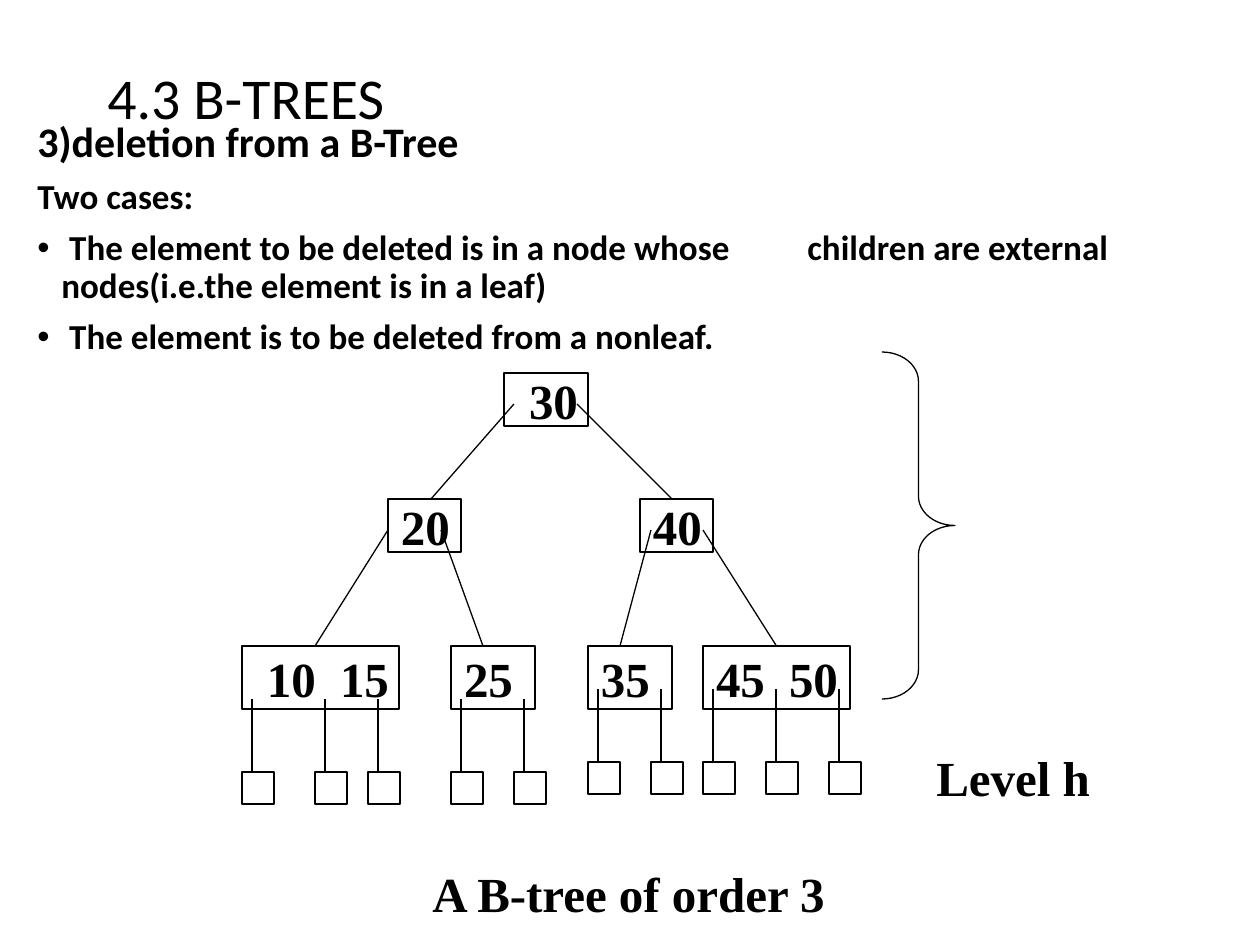
from pptx import Presentation
from pptx import util as u
from pptx.dml.color import RGBColor
from pptx.enum import shapes as sh, text as tx
from pptx.oxml.ns import qn
from lxml import etree

SCALE = u.Inches(1) / 126
COLORS = {"ink": "000000"}
SANS, SERIF = "Calibri", "Times New Roman"
NODES = {
    "30": (504, 373, 84, 53, 25),
    "20": (388, 499, 73, 53, 13),
    "40": (640, 499, 73, 53, 13),
    "10\t15": (242, 646, 157, 63, 25),
    "25": (451, 646, 84, 63, 13),
    "35": (588, 646, 84, 63, 13),
    "45\t50": (703, 646, 147, 63, 13),
}
EDGES = [
    (514, 404, 431, 499), (577, 404, 672, 499),
    (388, 530, 315, 646), (441, 530, 483, 646),
    (651, 530, 620, 646),
]
LEAVES = {772: (242, 315, 368, 451, 514), 762: (588, 651, 703, 766, 829)}


def px(n):
    """Turn px into EMU."""
    return u.Emu(round(n * SCALE))


def ink():
    """Return the drawing colour."""
    return RGBColor.from_string(COLORS["ink"])


def style(para, size, face, bold=True):
    """Set the font of a paragraph."""
    font = para.font
    font.size, font.name, font.bold = u.Pt(size), face, bold
    font.color.rgb = ink()


def tab(para, pos):
    """Add one left tab stop."""
    tabs = etree.SubElement(para._p.get_or_add_pPr(), qn("a:tabLst"))
    etree.SubElement(tabs, qn("a:tab"), pos=str(px(pos)), algn="l")


def label(slide, words, box, size, face, bold=True):
    """Add a text box with one line and return it."""
    item = slide.shapes.add_textbox(*map(px, box))
    frame = item.text_frame
    frame.word_wrap = True
    para = frame.paragraphs[0]
    para.text = words
    style(para, size, face, bold)
    return item


def point(frame, words, bullet=False):
    """Add a body paragraph, with a bullet if asked."""
    para = frame.add_paragraph()
    para.text = words
    props = para._p.get_or_add_pPr()
    if bullet:
        props.set("marL", str(px(24)))
        props.set("indent", str(px(-24)))
        etree.SubElement(props, qn("a:buFont"), typeface="Arial")
        etree.SubElement(props, qn("a:buChar"), char="•")
    if "\t" in words:
        tab(para, 770)
    para.line_spacing, para.space_before = 0.9, u.Pt(7.5)
    style(para, 20, SANS)


def outline(slide, kind, box):
    """Add an unfilled shape with a thin line."""
    item = slide.shapes.add_shape(kind, *map(px, box))
    item.shadow.inherit = False
    item.fill.background()
    item.line.color.rgb = ink()
    item.line.width = u.Pt(0.75)
    return item


def node(slide, keys, box, inset):
    """Add a tree node holding its keys."""
    item = outline(slide, sh.MSO_SHAPE.RECTANGLE, box)
    frame = item.text_frame
    frame.word_wrap = True
    frame.vertical_anchor = tx.MSO_ANCHOR.MIDDLE
    frame.margin_left, frame.margin_right = px(inset), 0
    para = frame.paragraphs[0]
    para.text = keys
    if "\t" in keys:
        tab(para, 73)
    para.alignment = tx.PP_ALIGN.LEFT
    style(para, 28, SERIF)
    return item


def line(slide, ends):
    """Add a thin straight line."""
    item = slide.shapes.add_connector(sh.MSO_CONNECTOR.STRAIGHT, *map(px, ends))
    item.line.color.rgb = ink()
    item.line.width = u.Pt(0.75)
    etree.SubElement(item._element.spPr, qn("a:effectLst"))
    return item


def leaf(slide, left, top):
    """Add an external node and the line down to it."""
    outline(slide, sh.MSO_SHAPE.RECTANGLE, (left, top, 32, 32))
    line(slide, (left + 10, top - 73, left + 10, top))


def body(slide):
    """Add the text on deletion."""
    item = label(slide, "3)deletion from a B-Tree", (25, 115, 1183, 250), 24, SANS)
    frame = item.text_frame
    frame.paragraphs[0].line_spacing = 0.9
    point(frame, "Two cases:")
    point(frame, " The element to be deleted is in a node whose\tchildren are external "
                 "nodes(i.e.the element is in a leaf)", True)
    point(frame, " The element is to be deleted from a nonleaf.", True)


def tree(slide):
    """Draw the nodes, edges and leaves of the tree."""
    nodes = {keys: node(slide, keys, spot[:4], spot[4]) for keys, spot in NODES.items()}
    for top, lefts in LEAVES.items():
        for left in lefts:
            leaf(slide, left, top)
    for ends in EDGES:
        line(slide, ends)
    last = line(slide, (703, 530, 777, 646))
    last.end_connect(nodes["45\t50"], 0)


def main():
    """Build the slide and save it."""
    deck = Presentation()
    deck.slide_width, deck.slide_height = px(1260), px(945)
    slide = deck.slides.add_slide(deck.slide_layouts[6])
    title = label(slide, "4.3 B-TREES", (95, 45, 1071, 111), 33, SANS, False)
    title.text_frame.vertical_anchor = tx.MSO_ANCHOR.MIDDLE
    title.text_frame.paragraphs[0].line_spacing = 0.9
    body(slide)
    tree(slide)
    brace = outline(slide, sh.MSO_SHAPE.RIGHT_BRACE, (882, 352, 73, 347))
    brace.adjustments[0] = 0.4
    label(slide, "Level h", (924, 741, 242, 72), 28, SERIF)
    label(slide, "A B-tree of order 3", (420, 857, 462, 72), 28, SERIF)
    deck.save("out.pptx")


if __name__ == "__main__":
    main()
